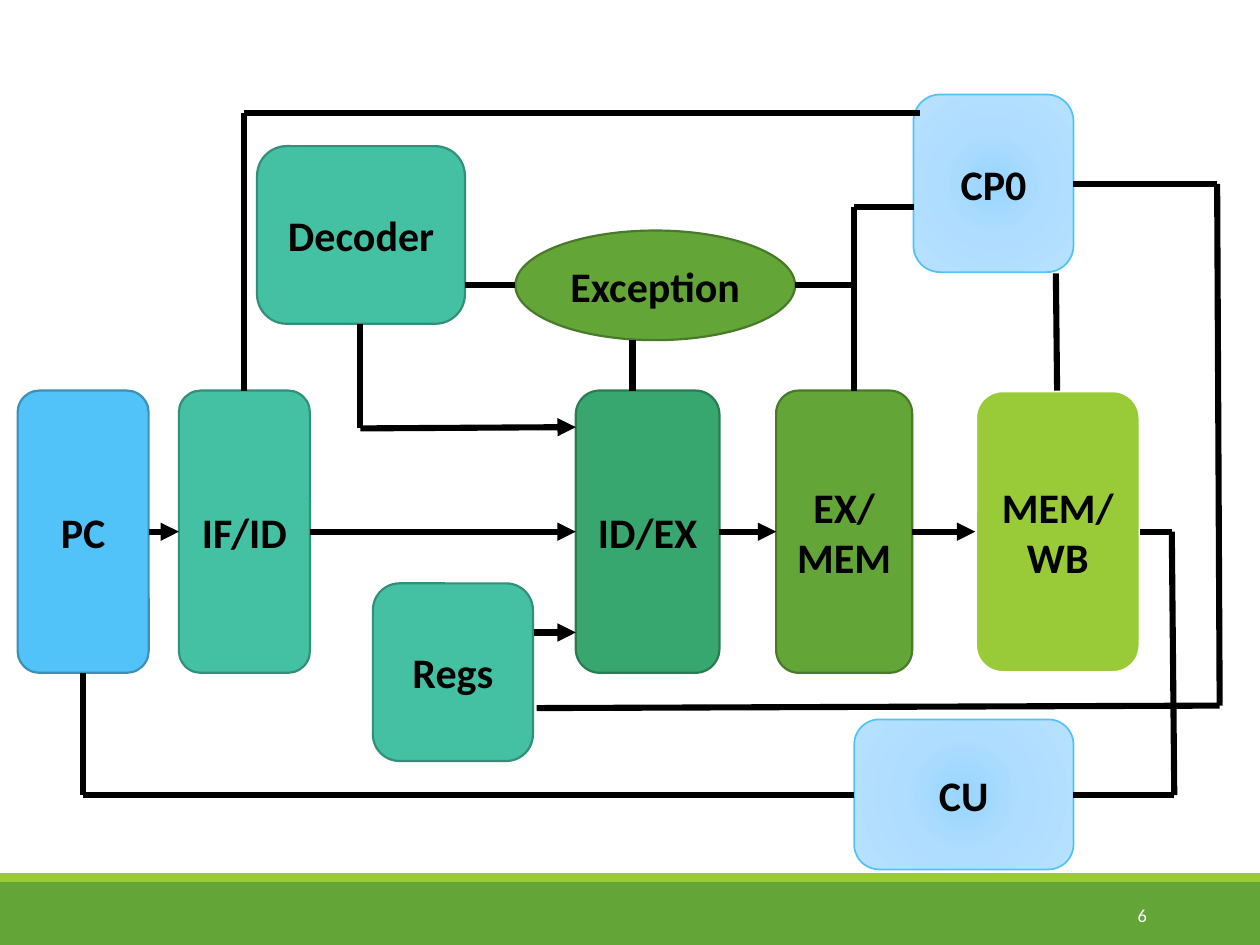
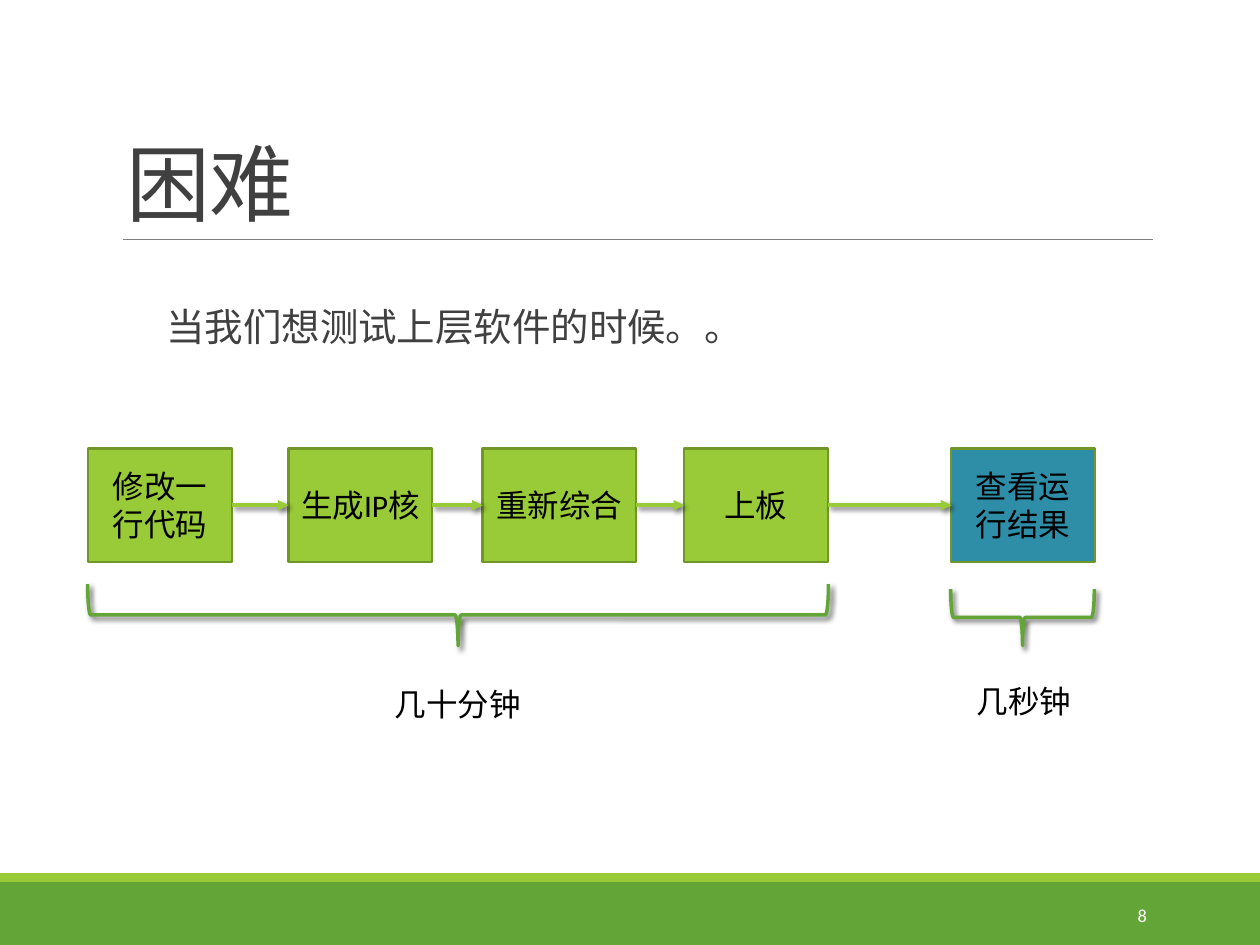
from itertools import pairwise
from lxml import etree
from pptx import Presentation
from pptx.dml.color import RGBColor
from pptx.enum.shapes import MSO_CONNECTOR, MSO_SHAPE
from pptx.enum.text import MSO_ANCHOR, PP_ALIGN
from pptx.oxml import parse_xml
from pptx.oxml.ns import nsdecls, qn
from pptx.util import Inches, Pt

BLACK = RGBColor(0x00, 0x00, 0x00)
WHITE = RGBColor(0xFF, 0xFF, 0xFF)
DARK_GRAY = RGBColor(0x40, 0x40, 0x40)
RULE_GRAY = RGBColor(0x80, 0x80, 0x80)
GREEN = RGBColor(0x63, 0xA5, 0x37)
GREEN_EDGE = RGBColor(0x49, 0x7A, 0x29)
LIME = RGBColor(0x99, 0xCB, 0x38)
LIME_EDGE = RGBColor(0x71, 0x96, 0x29)
TEAL = RGBColor(0x44, 0xC1, 0xA3)
TEAL_EDGE = RGBColor(0x32, 0x8F, 0x79)
EMERALD = RGBColor(0x37, 0xA7, 0x6F)
EMERALD_EDGE = RGBColor(0x29, 0x7C, 0x52)
SKY = RGBColor(0x51, 0xC3, 0xF9)
SKY_EDGE = RGBColor(0x3C, 0x90, 0xB8)
OCEAN = RGBColor(0x2E, 0x8E, 0xA8)

LATIN_FONT = "Calibri"
CHINESE_FONT = "Noto Sans CJK SC"
SHADOW = (
    f'<a:outerShdw {nsdecls("a")} blurRad="38100" dist="25400" dir="2700000" rotWithShape="0">'
    '<a:srgbClr val="000000"><a:alpha val="60000"/></a:srgbClr></a:outerShdw>'
)
GLOW_FILL = (
    f'<a:gradFill {nsdecls("a")} rotWithShape="1"><a:gsLst>'
    '<a:gs pos="0"><a:srgbClr val="99D5FE"/></a:gs>'
    '<a:gs pos="45000"><a:srgbClr val="AEDDFF"/></a:gs>'
    '<a:gs pos="100000"><a:srgbClr val="B8E1FF"/></a:gs></a:gsLst>'
    '<a:path path="circle"><a:fillToRect l="50000" t="50000" r="50000" b="50000"/></a:path>'
    '</a:gradFill>'
)


def write(shape, text, size, color=BLACK, bold=False, align=PP_ALIGN.CENTER, anchor=MSO_ANCHOR.MIDDLE):
    frame = shape.text_frame
    frame.word_wrap = True
    frame.vertical_anchor = anchor
    paragraph = frame.paragraphs[0]
    paragraph.alignment = align
    run = paragraph.add_run()
    run.text = text
    run.font.name = LATIN_FONT
    run.font.size = Pt(size)
    run.font.bold = bold
    run.font.color.rgb = color
    east_asian = etree.SubElement(run.font._element, qn("a:ea"))
    east_asian.set("typeface", CHINESE_FONT)
    return paragraph, run


def connect(slide, start, end, color, width, arrow=False, shadow=False):
    connector = slide.shapes.add_connector(
        MSO_CONNECTOR.STRAIGHT, *[Inches(value) for value in (*start, *end)]
    )
    connector.line.color.rgb = color
    connector.line.width = Pt(width)
    if arrow:
        tail = etree.SubElement(connector.line._get_or_add_ln(), qn("a:tailEnd"))
        tail.set("type", "triangle")
    effects = etree.SubElement(connector._element.spPr, qn("a:effectLst"))
    if shadow:
        effects.append(parse_xml(SHADOW))


presentation = Presentation()
presentation.slide_width = Inches(10)
presentation.slide_height = Inches(7.5)
pipeline_slide = presentation.slides.add_slide(presentation.slide_layouts[6])
difficulty_slide = presentation.slides.add_slide(presentation.slide_layouts[1])

for slide, number in ((pipeline_slide, "6"), (difficulty_slide, "8")):
    for top, height, color in ((7, 0.5, GREEN), (6.93, 0.07, LIME)):
        band = slide.shapes.add_shape(
            MSO_SHAPE.RECTANGLE, 0, Inches(top), presentation.slide_width, Inches(height)
        )
        band.shadow.inherit = False
        band.fill.solid()
        band.fill.fore_color.rgb = color
        band.line.fill.background()
    number_box = slide.shapes.add_textbox(Inches(8.12), Inches(7.06), Inches(1.08), Inches(0.4))
    write(number_box, number, 10.5, WHITE, align=PP_ALIGN.RIGHT)

ROUNDED = MSO_SHAPE.ROUNDED_RECTANGLE
STAGE_TOP, STAGE_HEIGHT = 3.1, 2.24
STAGE_MIDDLE = STAGE_TOP + STAGE_HEIGHT / 2
stages = [
    ("PC", 0.14, 1.04, SKY, SKY_EDGE, 1.25),
    ("IF/ID", 1.42, 1.04, TEAL, TEAL_EDGE, 1.25),
    ("ID/EX", 4.57, 1.14, EMERALD, EMERALD_EDGE, 1.25),
    ("EX/MEM", 6.16, 1.08, GREEN, GREEN_EDGE, 1.25),
    ("MEM/WB", 7.74, 1.31, LIME, WHITE, 2),
]
units = [
    ("Decoder", ROUNDED, (2.04, 1.16, 1.65, 1.41), TEAL, TEAL_EDGE, 1.25),
    ("Regs", ROUNDED, (2.96, 4.63, 1.27, 1.41), TEAL, TEAL_EDGE, 1.25),
    ("Exception", MSO_SHAPE.OVAL, (4.09, 1.83, 2.22, 0.87), GREEN, GREEN_EDGE, 1.25),
    ("CP0", ROUNDED, (7.25, 0.75, 1.27, 1.41), None, SKY, 1),
    ("CU", ROUNDED, (6.78, 5.71, 1.74, 1.19), None, SKY, 1),
]
blocks = [
    (name, ROUNDED, (left, STAGE_TOP, width, STAGE_HEIGHT), fill, edge, weight)
    for name, left, width, fill, edge, weight in stages
] + units
for name, kind, box, fill, edge, weight in blocks:
    block = pipeline_slide.shapes.add_shape(kind, *[Inches(value) for value in box])
    block.shadow.inherit = False
    block.fill.solid()
    if fill is None:
        solid = block._element.spPr.find(qn("a:solidFill"))
        block._element.spPr.replace(solid, parse_xml(GLOW_FILL))
    else:
        block.fill.fore_color.rgb = fill
    block.line.color.rgb = edge
    block.line.width = Pt(weight)
    write(block, name, 24, bold=True)

for (_, left, width, *_), (_, next_left, *_) in pairwise(stages):
    connect(pipeline_slide, (left + width, STAGE_MIDDLE), (next_left, STAGE_MIDDLE), BLACK, 3.5, arrow=True)
connect(pipeline_slide, (4.24, 5.02), (4.57, 5.02), BLACK, 3.5, arrow=True)
connect(pipeline_slide, (2.86, 3.4), (4.57, 3.39), BLACK, 3.5, arrow=True)

wires = [
    [(2.86, 2.57), (2.86, 3.4)],
    [(8.38, 2.17), (8.39, 3.1)],
    [(1.94, 3.1), (1.94, 0.9), (7.3, 0.9)],
    [(3.69, 2.26), (4.09, 2.26)],
    [(5.02, 3.1), (5.02, 2.7)],
    [(6.31, 2.26), (6.78, 2.26)],
    [(6.78, 3.1), (6.78, 1.64), (7.25, 1.64)],
    [(8.52, 1.46), (9.66, 1.46), (9.68, 5.6), (4.26, 5.62)],
    [(9.05, 4.22), (9.3, 4.22), (9.32, 6.31), (8.52, 6.31)],
    [(6.78, 6.31), (0.66, 6.31), (0.66, 5.34)],
]
for wire in wires:
    for start, end in pairwise(wire):
        connect(pipeline_slide, start, end, BLACK, 3.5)

title = difficulty_slide.shapes.title
title.left, title.top, title.width, title.height = Inches(0.9), Inches(0.31), Inches(8.25), Inches(1.59)
paragraph, run = write(title, "困难", 48, DARK_GRAY, align=PP_ALIGN.LEFT, anchor=MSO_ANCHOR.BOTTOM)
paragraph.line_spacing = 0.85
run.font._element.set("spc", "-50")
connect(difficulty_slide, (0.98, 1.9), (9.15, 1.9), RULE_GRAY, 0.5)

body = difficulty_slide.placeholders[1]
body.left, body.top, body.width, body.height = Inches(0.9), Inches(2.4), Inches(8.25), Inches(0.8)
body.text_frame.margin_left = body.text_frame.margin_right = 0
paragraph, run = write(
    body, "当我们想测试上层软件的时候。。", 22, DARK_GRAY, align=PP_ALIGN.LEFT, anchor=MSO_ANCHOR.TOP
)
run.font.name = CHINESE_FONT
paragraph.level = 1
paragraph.line_spacing = 0.9
paragraph.space_before = Pt(2)
paragraph.space_after = Pt(4)
properties = paragraph._p.get_or_add_pPr()
properties.set("marL", str(Inches(0.42)))
properties.set("indent", "0")
etree.SubElement(properties, qn("a:buNone"))

STEP_TOP, STEP_HEIGHT = 3.56, 0.9
STEP_MIDDLE = STEP_TOP + STEP_HEIGHT / 2
steps = [
    ("修改一行代码", 0.7, 1.14, LIME),
    ("生成IP核", 2.29, 1.14, LIME),
    ("重新综合", 3.83, 1.22, LIME),
    ("上板", 5.43, 1.14, LIME),
    ("查看运行结果", 7.55, 1.14, OCEAN),
]
for name, left, width, fill in steps:
    step = difficulty_slide.shapes.add_shape(
        MSO_SHAPE.RECTANGLE, Inches(left), Inches(STEP_TOP), Inches(width), Inches(STEP_HEIGHT)
    )
    step.shadow.inherit = False
    step.fill.solid()
    step.fill.fore_color.rgb = fill
    step.line.color.rgb = LIME_EDGE
    step.line.width = Pt(1.25)
    write(step, name, 18)
for (_, left, width, _), (_, next_left, *_) in pairwise(steps):
    connect(
        difficulty_slide, (left + width, STEP_MIDDLE), (next_left, STEP_MIDDLE), LIME, 2, arrow=True, shadow=True
    )

durations = [
    ("几十分钟", (3.39, 1.94, 0.49, 5.88), (2.75, 5.23)),
    ("几秒钟", (7.89, 4.33, 0.45, 1.14), (7.24, 5.21)),
]
for label, box, (label_left, label_top) in durations:
    brace = difficulty_slide.shapes.add_shape(MSO_SHAPE.RIGHT_BRACE, *[Inches(value) for value in box])
    brace.rotation = 90
    brace.adjustments[0] = 0.05
    brace.fill.background()
    brace.line.color.rgb = GREEN
    brace.line.width = Pt(2)
    brace.shadow.inherit = False
    brace._element.spPr.find(qn("a:effectLst")).append(parse_xml(SHADOW))
    label_box = difficulty_slide.shapes.add_textbox(
        Inches(label_left), Inches(label_top), Inches(1.77), Inches(0.71)
    )
    write(label_box, label, 18)

presentation.save("out.pptx")
